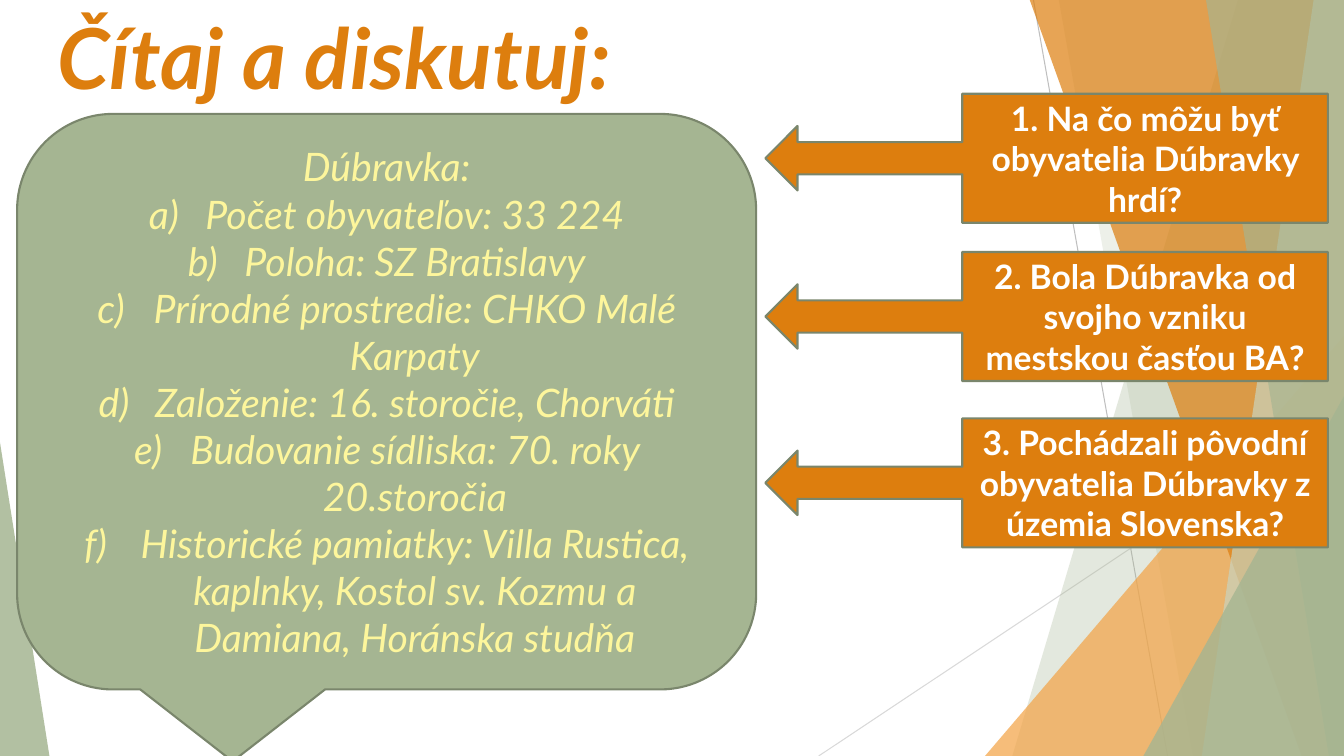
from dataclasses import dataclass

from lxml.etree import SubElement
from pptx import Presentation
from pptx.dml.color import RGBColor
from pptx.enum.shapes import MSO_CONNECTOR, MSO_SHAPE
from pptx.enum.text import MSO_ANCHOR, MSO_AUTO_SIZE, PP_ALIGN
from pptx.oxml.ns import qn
from pptx.shapes.autoshape import Shape
from pptx.slide import Slide
from pptx.text.text import TextFrame, _Paragraph
from pptx.util import Inches, Pt


@dataclass(frozen=True)
class Theme:
    font: str = "Lato"
    green: str = "A5B592"
    pale: str = "C9D3BE"
    edge: str = "7A866C"
    orange: str = "DD7E0E"
    amber: str = "F3A447"
    cream: str = "FDF69C"
    white: str = "FFFFFF"
    title: int = 60
    body: int = 28
    ask: int = 24


@dataclass(frozen=True)
class Ray:
    start: tuple[float, float]
    end: tuple[float, float]
    color: str


@dataclass(frozen=True)
class Blade:
    """A band from its top and foot points to the right slide edge."""
    top: float
    foot: float
    color: str
    alpha: int


@dataclass(frozen=True)
class Wedge:
    """A triangle standing on the bottom edge."""
    left: float
    top: float
    width: float
    peak: float
    color: str
    alpha: int


@dataclass(frozen=True)
class Ask:
    top: float
    text: str


THEME = Theme()
WIDTH, HEIGHT, RISE = 13.33, 7.5, -0.01

RAYS = [
    Ray((10.25, 0), (11.58, HEIGHT), "BFBFBF"),
    Ray((WIDTH, 4.03), (8.12, HEIGHT), "D9D9D9"),
]
SHARDS = [
    Blade(12.28, 10.04, THEME.green, 30),
    Blade(10.5, 11.83, THEME.green, 20),
    Wedge(9.77, 3.33, 3.56, 1, THEME.amber, 72),
    Blade(10.21, 12.91, THEME.orange, 70),
    Blade(13.03, 11.92, THEME.pale, 70),
    Blade(11.96, 13.18, THEME.green, 65),
    Wedge(11.34, 3.93, 1.99, 1, THEME.green, 80),
    Wedge(0, 4.39, 0.49, 0, THEME.green, 85),
]
FACTS = [
    "Počet obyvateľov: 33 224",
    "Poloha: SZ Bratislavy",
    "Prírodné prostredie: CHKO Malé Karpaty",
    "Založenie: 16. storočie, Chorváti",
    "Budovanie sídliska: 70. roky 20.storočia",
    "Historické pamiatky: Villa Rustica, kaplnky, Kostol sv. Kozmu a "
    "Damiana, Horánska studňa",
]
ASKS = [
    Ask(0.93, "1. Na čo môžu byť obyvatelia Dúbravky hrdí?"),
    Ask(2.5, "2. Bola Dúbravka od svojho vzniku mestskou časťou BA?"),
    Ask(4.15, "3. Pochádzali pôvodní obyvatelia Dúbravky z územia Slovenska?"),
]


def rgb(color: str) -> RGBColor:
    return RGBColor.from_string(color)


def add_run(para: _Paragraph, text: str, size: int, color: str,
            bold: bool = False, slant: bool = False) -> None:
    run = para.add_run()
    run.text = text
    font = run.font
    font.name, font.size = THEME.font, Pt(size)
    font.bold, font.italic = bold, slant
    font.color.rgb = rgb(color)


def add_mark(para: _Paragraph) -> None:
    """Number a list item a), b), c) with a hanging indent."""
    props = para._p.get_or_add_pPr()
    props.set("marL", str(Inches(0.56)))
    props.set("indent", str(-Inches(0.56)))
    SubElement(props, qn("a:buFont"), typeface=THEME.font)
    SubElement(props, qn("a:buAutoNum"), type="alphaLcParenR")


def draw_ray(slide: Slide, ray: Ray) -> None:
    ends = [Inches(n) for n in ray.start + ray.end]
    line = slide.shapes.add_connector(MSO_CONNECTOR.STRAIGHT, *ends)
    line.line.color.rgb = rgb(ray.color)
    line.line.width = Pt(0.75)
    SubElement(line.element.spPr, qn("a:effectLst"))


def draw_shard(slide: Slide, part: Blade | Wedge) -> None:
    if isinstance(part, Blade):
        pen = slide.shapes.build_freeform(Inches(part.top), Inches(RISE))
        ends = [(WIDTH, RISE), (WIDTH, HEIGHT), (part.foot, HEIGHT)]
        pen.add_line_segments([(Inches(x), Inches(y)) for x, y in ends])
        shape = pen.convert_to_shape()
    else:
        shape = slide.shapes.add_shape(
            MSO_SHAPE.ISOSCELES_TRIANGLE, Inches(part.left), Inches(part.top),
            Inches(part.width), Inches(HEIGHT - part.top))
        shape.adjustments[0] = part.peak
    shape.shadow.inherit = False
    shape.line.fill.background()
    shape.fill.solid()
    shape.fill.fore_color.rgb = rgb(part.color)
    tint = shape.element.spPr.find(qn("a:solidFill"))[0]
    SubElement(tint, qn("a:alpha"), val=str(part.alpha * 1000))


def add_box(slide: Slide, kind: MSO_SHAPE, left: float, top: float,
            width: float, height: float, color: str) -> TextFrame:
    shape: Shape = slide.shapes.add_shape(
        kind, Inches(left), Inches(top), Inches(width), Inches(height))
    shape.shadow.inherit = False
    shape.fill.solid()
    shape.fill.fore_color.rgb = rgb(color)
    shape.line.color.rgb = rgb(THEME.edge)
    shape.line.width = Pt(1.5)
    frame = shape.text_frame
    frame.word_wrap = True
    frame.vertical_anchor = MSO_ANCHOR.MIDDLE
    frame.paragraphs[0].alignment = PP_ALIGN.CENTER
    return frame


def add_title(slide: Slide, text: str) -> None:
    title = slide.shapes.title
    title.element.getparent().append(title.element)
    title.left, title.top = Inches(0.47), Inches(0)
    title.width, title.height = Inches(9.4), Inches(1.44)
    frame = title.text_frame
    frame.auto_size = MSO_AUTO_SIZE.NONE
    frame.vertical_anchor = MSO_ANCHOR.TOP
    para = frame.paragraphs[0]
    para.alignment = PP_ALIGN.LEFT
    add_run(para, text, THEME.title, THEME.orange, bold=True, slant=True)


def main() -> None:
    deck = Presentation()
    deck.slide_width, deck.slide_height = Inches(WIDTH), Inches(HEIGHT)
    slide = deck.slides.add_slide(deck.slide_layouts[5])

    # Backdrop
    for ray in RAYS:
        draw_ray(slide, ray)
    for part in SHARDS:
        draw_shard(slide, part)

    # Title
    add_title(slide, "Čítaj a diskutuj:")

    # Facts
    frame = add_box(slide, MSO_SHAPE.ROUNDED_RECTANGULAR_CALLOUT,
                    0.17, 1.13, 7.33, 5.71, THEME.green)
    add_run(frame.paragraphs[0], "Dúbravka:", THEME.body, THEME.cream, slant=True)
    for fact in FACTS:
        para = frame.add_paragraph()
        para.alignment = PP_ALIGN.CENTER
        add_mark(para)
        add_run(para, fact, THEME.body, THEME.cream, slant=True)

    # Questions
    for ask in ASKS:
        frame = add_box(slide, MSO_SHAPE.LEFT_ARROW_CALLOUT,
                        7.59, ask.top, 5.58, 1.28, THEME.orange)
        add_run(frame.paragraphs[0], ask.text, THEME.ask, THEME.white, bold=True)

    deck.save("out.pptx")


if __name__ == "__main__":
    main()
